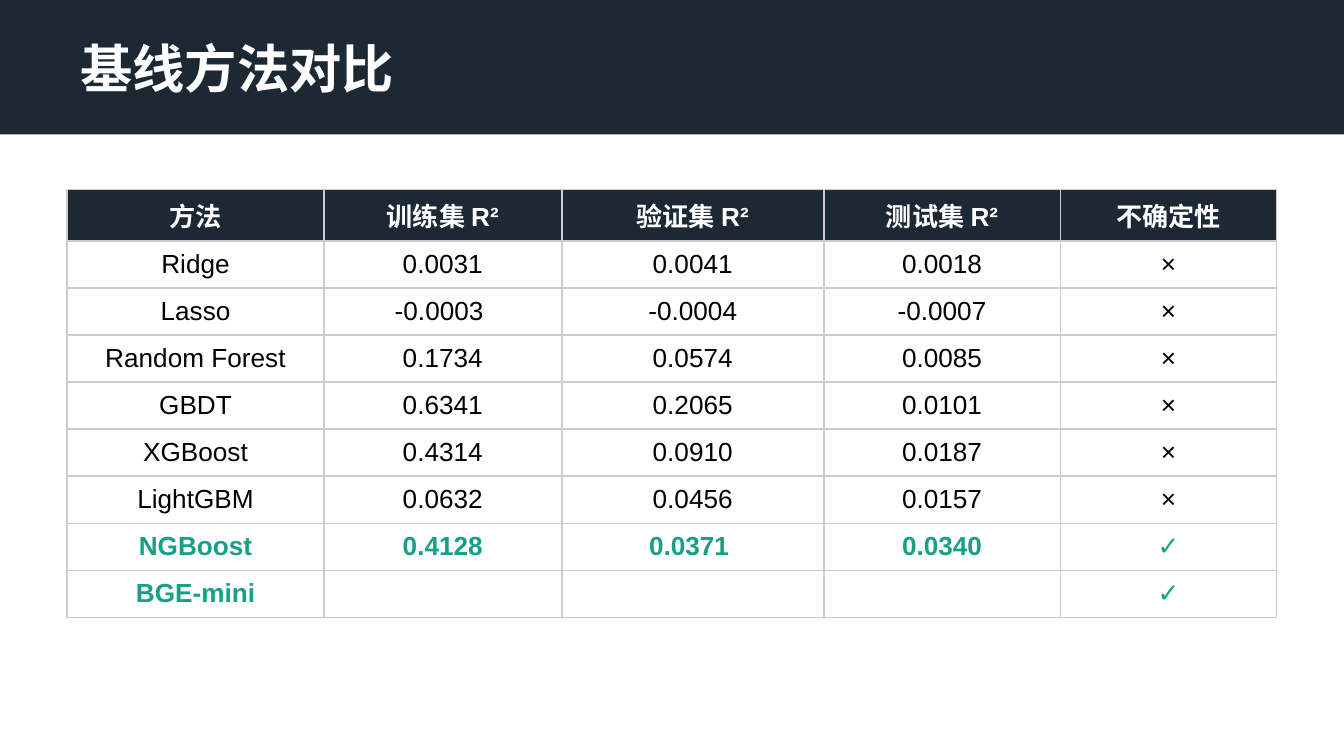
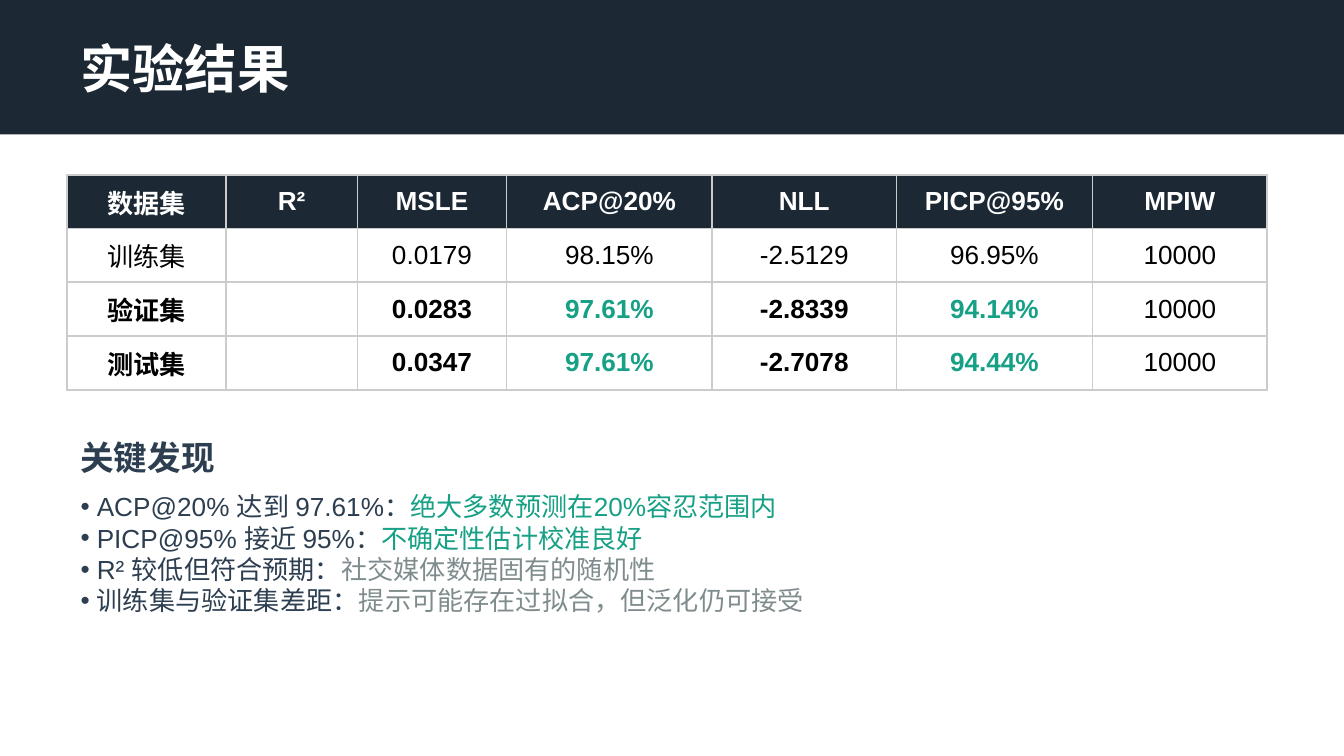
import pptx
import pptx.dml.color
import pptx.enum.shapes
import pptx.enum.text
import pptx.oxml
import pptx.oxml.ns
import pptx.util

Inches = pptx.util.Inches
Pt = pptx.util.Pt
RGBColor = pptx.dml.color.RGBColor
PP_ALIGN = pptx.enum.text.PP_ALIGN
MSO_ANCHOR = pptx.enum.text.MSO_ANCHOR

NAVY = RGBColor(0x1C, 0x28, 0x33)
SLATE = RGBColor(0x2C, 0x3E, 0x50)
GREEN = RGBColor(0x16, 0xA0, 0x85)
GRAY = RGBColor(0x7F, 0x8C, 0x8D)
BORDER = RGBColor(0xCC, 0xCC, 0xCC)
BLACK = RGBColor(0, 0, 0)
WHITE = RGBColor(0xFF, 0xFF, 0xFF)

FONT = "Arial"
SLIDE_WIDTH = Inches(10)
SLIDE_HEIGHT = SLIDE_WIDTH * 9 // 16
LEFT = 0.5
CONTENT_WIDTH = 9
BULLET_INDENT = 0.12
LAYOUT_CONTENT, LAYOUT_TITLE_ONLY = 1, 5

BASELINES = [
    ["方法", "训练集 R²", "验证集 R²", "测试集 R²", "不确定性"],
    ["Ridge", "0.0031", "0.0041", "0.0018", "×"],
    ["Lasso", "-0.0003 ", "-0.0004", "-0.0007", "×"],
    ["Random Forest", "0.1734", "0.0574", "0.0085", "×"],
    ["GBDT", "0.6341", "0.2065", "0.0101", "×"],
    ["XGBoost", "0.4314", "0.0910", "0.0187", "×"],
    ["LightGBM", "0.0632", "0.0456", "0.0157", "×"],
    ["NGBoost", "0.4128", "0.0371 ", "0.0340", "✓"],
    ["BGE-mini", "", "", "", "✓"],
]
RESULTS = [
    ["数据集", "R²", "MSLE", "ACP@20%", "NLL", "PICP@95%", "MPIW"],
    ["训练集", "", "0.0179", "98.15%", "-2.5129", "96.95%", "10000"],
    ["验证集", "", "0.0283", "97.61%", "-2.8339", "94.14%", "10000"],
    ["测试集", "", "0.0347", "97.61%", "-2.7078", "94.44%", "10000"],
]
FINDINGS = [
    ("ACP@20% 达到 97.61%：", "绝大多数预测在20%容忍范围内", GREEN),
    ("PICP@95% 接近 95%：", "不确定性估计校准良好", GREEN),
    ("R² 较低但符合预期：", "社交媒体数据固有的随机性", GRAY),
    ("训练集与验证集差距：", "提示可能存在过拟合，但泛化仍可接受", GRAY),
]


def format_run(run, size, color, bold=False):
    run.font.name = FONT
    run.font.size = Pt(size)
    run.font.bold = bold
    run.font.color.rgb = color


def place(shape, top, height):
    shape.left, shape.top = Inches(LEFT), Inches(top)
    shape.width, shape.height = Inches(CONTENT_WIDTH), Inches(height)


def write_line(shape, text, size, color):
    """Fill a shape with one bold, left-aligned, vertically centred line."""
    frame = shape.text_frame
    frame.text = text
    frame.word_wrap = True
    frame.auto_size = pptx.enum.text.MSO_AUTO_SIZE.NONE
    frame.vertical_anchor = MSO_ANCHOR.MIDDLE
    paragraph = frame.paragraphs[0]
    paragraph.alignment = PP_ALIGN.LEFT
    format_run(paragraph.runs[0], size, color, bold=True)


def add_titled_slide(presentation, layout_index, title):
    """Add a slide with the dark band behind its title."""
    slide = presentation.slides.add_slide(presentation.slide_layouts[layout_index])
    band = slide.shapes.add_shape(
        pptx.enum.shapes.MSO_SHAPE.RECTANGLE, 0, 0, SLIDE_WIDTH, Inches(1))
    band.shadow.inherit = False
    band.fill.solid()
    band.fill.fore_color.rgb = NAVY
    band.line.fill.background()
    slide.shapes.title._element.addprevious(band._element)
    place(slide.shapes.title, 0.25, 0.5)
    write_line(slide.shapes.title, title, 28, WHITE)
    return slide


def set_borders(cell):
    properties = cell._tc.get_or_add_tcPr()
    for side in ("lnL", "lnR", "lnT", "lnB"):
        properties.append(pptx.oxml.parse_xml(
            f'<a:{side} {pptx.oxml.ns.nsdecls("a")} w="{Pt(1)}"><a:solidFill>'
            f'<a:srgbClr val="{BORDER}"/></a:solidFill></a:{side}>'))


def fill_cell(cell, text, color, bold, fill=None):
    set_borders(cell)
    if fill is None:
        cell.fill.background()
    else:
        cell.fill.solid()
        cell.fill.fore_color.rgb = fill
    cell.vertical_anchor = MSO_ANCHOR.MIDDLE
    if not text:
        # An empty line is 18 pt high; without margins it fits the row.
        cell.margin_top = cell.margin_bottom = 0
        return
    cell.text_frame.text = text
    paragraph = cell.text_frame.paragraphs[0]
    paragraph.alignment = PP_ALIGN.CENTER
    format_run(paragraph.runs[0], 14, color, bold)


def add_data_table(slide, rows, top, widths, row_height, body_style):
    """Add a table; body_style(row, column) gives a body cell's colour and boldness."""
    table = slide.shapes.add_table(
        len(rows), len(widths), Inches(LEFT), Inches(top),
        Inches(sum(widths)), Inches(row_height * len(rows))).table
    table.first_row = table.horz_banding = False
    for column, width in zip(table.columns, widths):
        column.width = Inches(width)
    for row_index, row in enumerate(rows):
        table.rows[row_index].height = Inches(row_height)
        for column_index, text in enumerate(row):
            cell = table.cell(row_index, column_index)
            if row_index == 0:
                fill_cell(cell, text, WHITE, True, NAVY)
            else:
                fill_cell(cell, text, *body_style(row_index, column_index))


def baseline_style(row, column):
    proposed = BASELINES[row][0] in ("NGBoost", "BGE-mini")
    return (GREEN if proposed else BLACK), proposed


def result_style(row, column):
    header = RESULTS[0][column]
    held_out = RESULTS[row][0] != "训练集"
    highlighted = held_out and header in ("ACP@20%", "PICP@95%")
    return (GREEN if highlighted else BLACK), held_out and header != "MPIW"


def set_bullet(paragraph):
    properties = paragraph._p.get_or_add_pPr()
    indent = Inches(BULLET_INDENT)
    properties.set("marL", str(indent))
    properties.set("indent", str(-indent))
    namespace = pptx.oxml.ns.nsdecls("a")
    for tag in (f'<a:buClr {namespace}><a:srgbClr val="{SLATE}"/></a:buClr>',
                f'<a:buFont {namespace} typeface="{FONT}"/>',
                f'<a:buChar {namespace} char="•"/>'):
        properties.append(pptx.oxml.parse_xml(tag))


def write_findings(body, findings):
    place(body, 3.6, 1.8)
    frame = body.text_frame
    frame.auto_size = pptx.enum.text.MSO_AUTO_SIZE.NONE
    frame.vertical_anchor = MSO_ANCHOR.TOP
    for index, (label, remark, color) in enumerate(findings):
        paragraph = frame.add_paragraph() if index else frame.paragraphs[0]
        paragraph.space_before = Pt(0)
        set_bullet(paragraph)
        for text, run_color in ((label, SLATE), (remark, color)):
            run = paragraph.add_run()
            run.text = text
            format_run(run, 14, run_color)


def main():
    presentation = pptx.Presentation()
    presentation.slide_width = SLIDE_WIDTH
    presentation.slide_height = SLIDE_HEIGHT

    slide = add_titled_slide(presentation, LAYOUT_TITLE_ONLY, "基线方法对比")
    add_data_table(slide, BASELINES, 1.41, [1.91, 1.77, 1.95, 1.76, 1.61],
                   0.35, baseline_style)

    slide = add_titled_slide(presentation, LAYOUT_CONTENT, "实验结果")
    add_data_table(slide, RESULTS, 1.3, [1.18, 0.98, 1.11, 1.53, 1.37, 1.46, 1.3],
                   0.4, result_style)
    heading = slide.shapes.add_textbox(0, 0, 0, 0)
    place(heading, 3.2, 0.4)
    write_line(heading, "关键发现", 18, SLATE)
    write_findings(slide.placeholders[1], FINDINGS)

    presentation.save("out.pptx")


if __name__ == "__main__":
    main()
